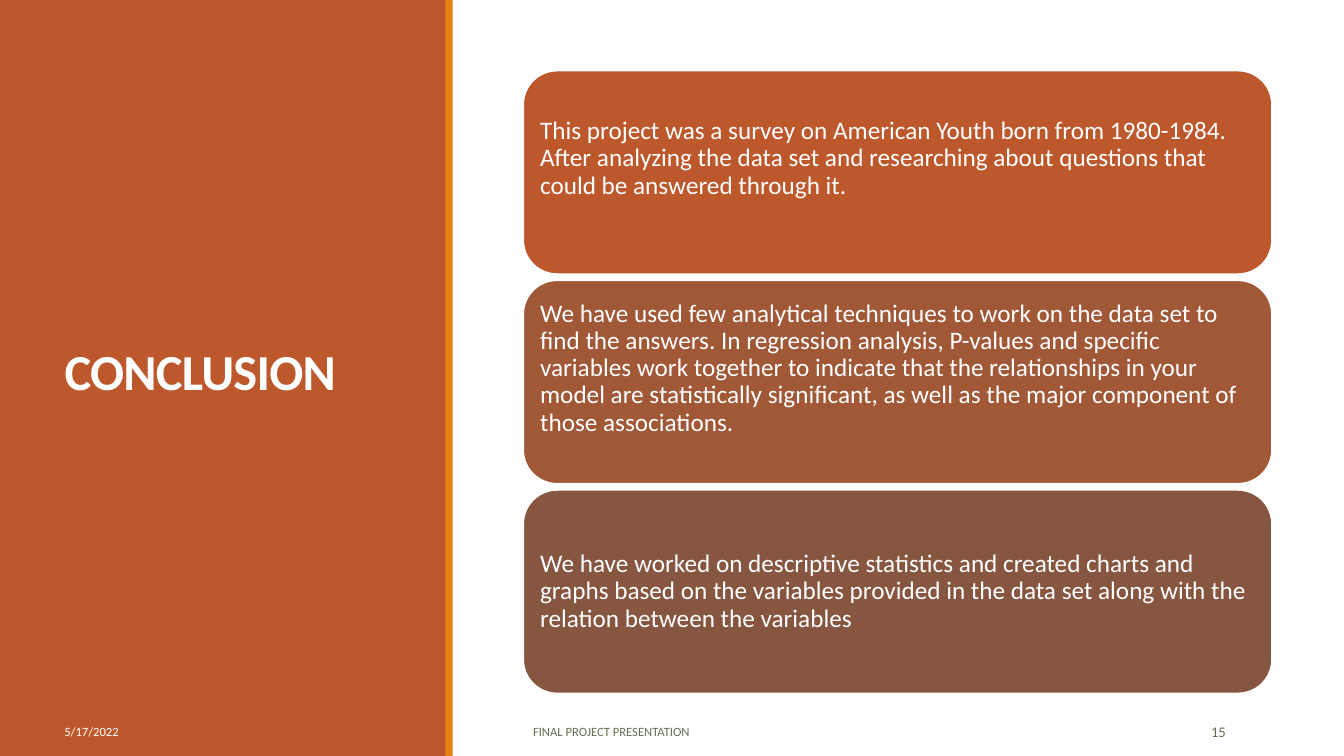
import pptx
import pptx.dml.color
import pptx.enum.shapes
import pptx.enum.text
import pptx.util

RGBColor = pptx.dml.color.RGBColor
Align = pptx.enum.text.PP_ALIGN
Shape = pptx.enum.shapes.MSO_SHAPE

WHITE = RGBColor(0xFF, 0xFF, 0xFF)
RUST = RGBColor(0xBD, 0x58, 0x2C)
SIENNA = RGBColor(0xA0, 0x58, 0x37)
BROWN = RGBColor(0x86, 0x56, 0x40)
ORANGE = RGBColor(0xE4, 0x83, 0x12)
OLIVE = RGBColor(0x63, 0x70, 0x52)

COLUMNS, ROWS = 40, 30
CARD_LEFT, CARD_TOP, CARD_WIDTH, CARD_HEIGHT, CARD_STEP = 15.57, 2.8, 22.29, 8.08, 8.32
FOOTER_TOP, FOOTER_HEIGHT = 28.24, 1.6
INSET, LIFTED_INSET = 0.07, 0.34

CARDS = [
    ("This project was a survey on American Youth born from 1980-1984. "
     "After analyzing the data set and researching about questions that "
     "could be answered through it.", RUST, LIFTED_INSET),
    ("We have used few analytical techniques to work on the data set to "
     "find the answers. In regression analysis, P-values and specific "
     "variables work together to indicate that the relationships in your "
     "model are statistically significant, as well as the major component of "
     "those associations.", SIENNA, LIFTED_INSET),
    ("We have worked on descriptive statistics and created charts and "
     "graphs based on the variables provided in the data set along with "
     "the relation between the variables", BROWN, INSET),
]
FOOTERS = [
    ("5/17/2022", 1.62, 5.7, 9, WHITE, Align.LEFT),
    ("FINAL PROJECT PRESENTATION", CARD_LEFT, 16.74, 9, OLIVE, Align.LEFT),
    ("15", 33.21, 3.57, 10.5, OLIVE, Align.RIGHT),
]


class SlideBuilder:
    """Draws styled elements on one page, placed by grid columns and rows."""

    def __init__(self, deck, font="Calibri"):
        self.column = deck.slide_width / COLUMNS
        self.row = deck.slide_height / ROWS
        self.font = font
        self.page = deck.slides.add_slide(deck.slide_layouts[5])

    def place(self, left, top, width, height):
        return (round(left * self.column), round(top * self.row),
                round(width * self.column), round(height * self.row))

    def set_text(self, shape, text, size, color, align=Align.LEFT, spacing=1.0, bold=False):
        frame = shape.text_frame
        frame.text = text
        frame.word_wrap = True
        frame.auto_size = pptx.enum.text.MSO_AUTO_SIZE.NONE
        frame.vertical_anchor = pptx.enum.text.MSO_ANCHOR.MIDDLE
        para = frame.paragraphs[0]
        para.alignment = align
        para.line_spacing = spacing
        span = para.runs[0]
        span.font.name = self.font
        span.font.size = pptx.util.Pt(size)
        span.font.bold = bold
        span.font.color.rgb = color

    def block(self, area, fill, kind=Shape.RECTANGLE):
        shape = self.page.shapes.add_shape(kind, *self.place(*area))
        shape.shadow.inherit = False
        shape.fill.solid()
        shape.fill.fore_color.rgb = fill
        shape.line.fill.background()
        return shape

    def card(self, area, text, fill, bottom_inset):
        shape = self.block(area, fill, Shape.ROUNDED_RECTANGLE)
        shape.line.color.rgb = WHITE
        shape.line.width = pptx.util.Pt(1.25)
        frame = shape.text_frame
        frame.margin_left = frame.margin_right = frame.margin_top = pptx.util.Inches(INSET)
        frame.margin_bottom = pptx.util.Inches(bottom_inset)
        self.set_text(shape, text, 18, WHITE, spacing=0.9)

    def title(self, area, text):
        title = self.page.shapes.title
        title.left, title.top, title.width, title.height = self.place(*area)
        self.set_text(title, text, 36, WHITE, spacing=0.85, bold=True)
        title.element.xpath(".//a:rPr")[0].set("spc", "-50")
        title.element.getparent().append(title.element)

    def label(self, area, text, size, color, align):
        box = self.page.shapes.add_textbox(*self.place(*area))
        self.set_text(box, text, size, color, align)


def main():
    deck = pptx.Presentation()
    deck.slide_width = pptx.util.Inches(13.33)
    deck.slide_height = pptx.util.Inches(7.5)
    builder = SlideBuilder(deck)
    builder.block((0, 0, 13.27, ROWS), RUST)
    builder.block((13.26, 0, 0.21, ROWS), ORANGE)
    builder.title((1.62, 2.28, 10.11, 25.24), "CONCLUSION")
    for index, (text, fill, bottom_inset) in enumerate(CARDS):
        area = (CARD_LEFT, CARD_TOP + index * CARD_STEP, CARD_WIDTH, CARD_HEIGHT)
        builder.card(area, text, fill, bottom_inset)
    for text, left, width, size, color, align in FOOTERS:
        builder.label((left, FOOTER_TOP, width, FOOTER_HEIGHT), text, size, color, align)
    deck.save("out.pptx")


if __name__ == "__main__":
    main()
